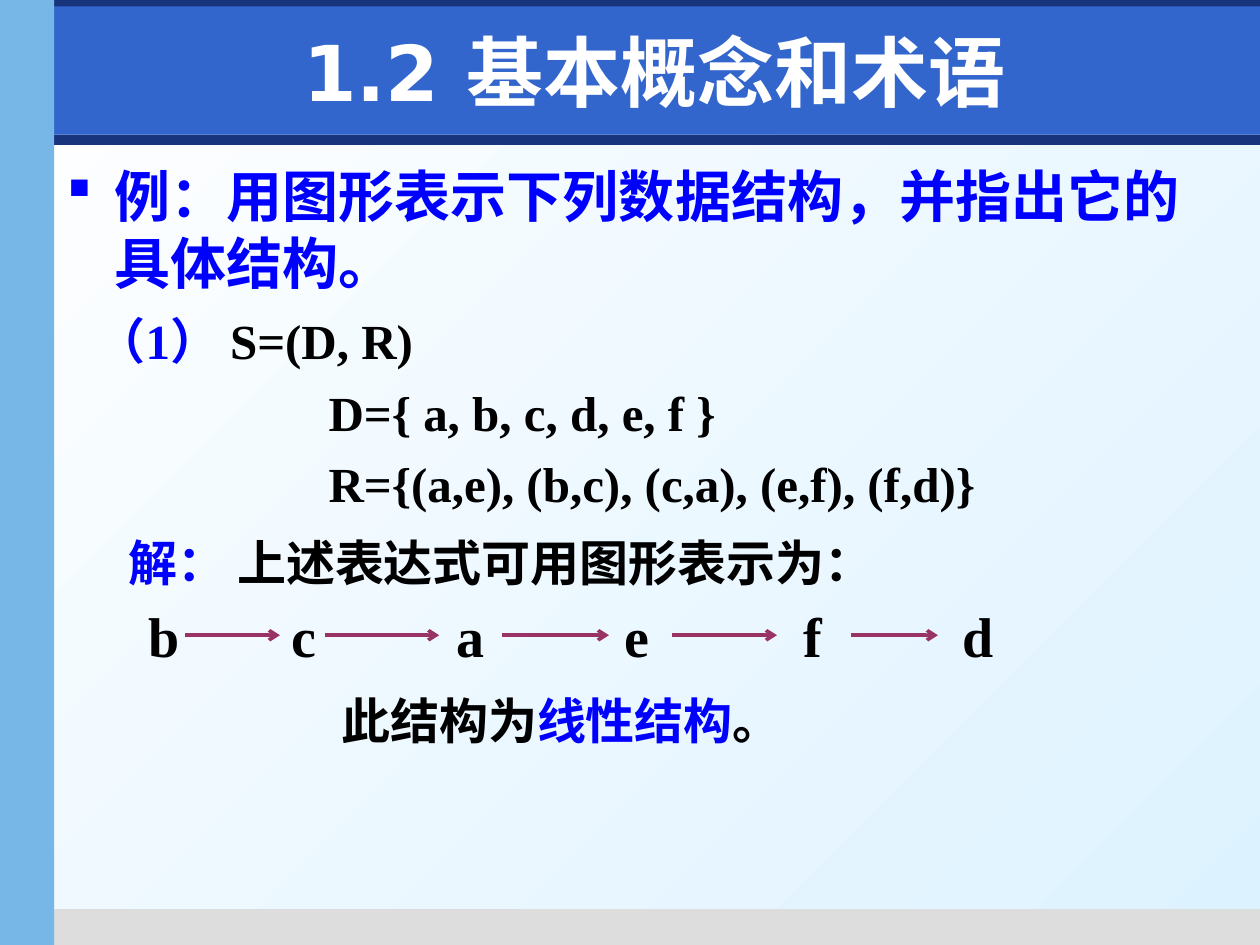
from lxml.etree import SubElement
from pptx import Presentation
from pptx.dml.color import RGBColor
from pptx.enum.shapes import MSO_CONNECTOR as Connector, MSO_SHAPE as Shape
from pptx.enum.text import MSO_ANCHOR as Anchor, PP_ALIGN as Align
from pptx.oxml.ns import qn
from pptx.util import Pt

BLUE, BLACK, WHITE = "0000FF", "000000", "FFFFFF"
NAVY, ARROW = "17347D", "993366"
SERIF = "Times New Roman"


def color(value):
    return RGBColor.from_string(value)


def add_background(page, start, end):
    fill = page.background.fill
    fill.gradient()
    fill.gradient_angle = 315
    for stop, value in zip(fill.gradient_stops, (start, end)):
        stop.color.rgb = color(value)


def add_band(page, left, top, width, height, fill):
    band = page.shapes.add_shape(Shape.RECTANGLE, Pt(left), Pt(top), Pt(width), Pt(height))
    band.shadow.inherit = False
    band.fill.solid()
    band.fill.fore_color.rgb = color(fill)
    band.line.fill.background()


def add_box(page, left, top, width, height, wrap=True, anchor=Anchor.TOP):
    box = page.shapes.add_textbox(Pt(left), Pt(top), Pt(width), Pt(height))
    box.text_frame.word_wrap = wrap
    box.text_frame.vertical_anchor = anchor
    return box.text_frame


def add_text(frame, *parts, size=28, font=SERIF, align=Align.LEFT,
             before=0, margin=0, indent=0, bullet=None):
    first = frame.paragraphs[0]
    para = frame.add_paragraph() if first.runs else first
    properties = para._p.get_or_add_pPr()
    properties.set("marL", str(Pt(margin)))
    properties.set("indent", str(Pt(indent)))
    if bullet:
        bullet_color = SubElement(properties, qn("a:buClr"))
        SubElement(bullet_color, qn("a:srgbClr"), val=BLUE)
        SubElement(properties, qn("a:buFont"), typeface="Wingdings", charset="2")
        SubElement(properties, qn("a:buChar"), char=bullet)
    para.alignment = align
    para.space_before = Pt(before)
    for text, value in parts:
        span = para.add_run()
        span.text = text
        span.font.size = Pt(size)
        span.font.name = font
        span.font.bold = True
        span.font.color.rgb = color(value)


def add_arrow(page, start, end, level):
    arrow = page.shapes.add_connector(Connector.STRAIGHT, Pt(start), Pt(level), Pt(end), Pt(level))
    arrow.line.color.rgb = color(ARROW)
    arrow.line.width = Pt(2)
    SubElement(arrow.line._get_or_add_ln(), qn("a:tailEnd"), type="arrow")
    SubElement(arrow._element.spPr, qn("a:effectLst"))


def add_frame(page):
    add_background(page, WHITE, "DDF2FF")
    add_band(page, 3, 77, 717, 5.8, NAVY)
    add_band(page, 25, 519.5, 695, 20.5, "DDDDDD")
    add_band(page, 0, -2, 720, 17, NAVY)
    add_band(page, 31, 3.6, 689, 73.4, "3366CC")
    add_band(page, 0, 0, 31, 540, "77B7E7")


def add_problem(page):
    title = add_box(page, 42.5, 9.4, 663, 62.6, anchor=Anchor.MIDDLE)
    add_text(title, ("1.2 基本概念和术语", WHITE), size=44, font="DejaVu Sans", align=Align.CENTER)

    question = add_box(page, 31, 88.5, 675, 425)
    add_text(question, ("例：用图形表示下列数据结构，并指出它的具体结构。", BLUE),
             size=32, font="Arial", margin=27.5, indent=-27.5, bullet="§")

    structure = add_box(page, 48.2, 174.2, 612, 144)
    add_text(structure, ("（1） ", BLUE), ("S=(D, R)", BLACK))
    for line in ("D={ a, b, c, d, e, f }", "R={(a,e), (b,c), (c,a), (e,f), (f,d)}"):
        add_text(structure, (line, BLACK), before=7, margin=132.5)


def add_solution(page):
    answer = add_box(page, 66.2, 300.6, 471, 41)
    add_text(answer, ("解：", BLUE), (" 上述表达式可用图形表示为：", BLACK))

    conclusion = add_box(page, 188, 391, 266, 41, wrap=False)
    add_text(conclusion, ("此结构为", BLACK), ("线性结构", BLUE), ("。", BLACK))

    for node, left in zip("bcaefd", (77.8, 159.6, 253.8, 349.8, 452, 542.7)):
        add_text(add_box(page, left, 340.2, 40, 46), (node, BLACK), size=32)
    for start, end in ((106, 160), (186, 251), (287, 348), (384, 444), (486, 536)):
        add_arrow(page, start, end, 363)


def main():
    deck = Presentation()
    deck.slide_width, deck.slide_height = Pt(720), Pt(540)
    page = deck.slides.add_slide(deck.slide_layouts[6])
    add_frame(page)
    add_problem(page)
    add_solution(page)
    deck.save("out.pptx")


if __name__ == "__main__":
    main()
